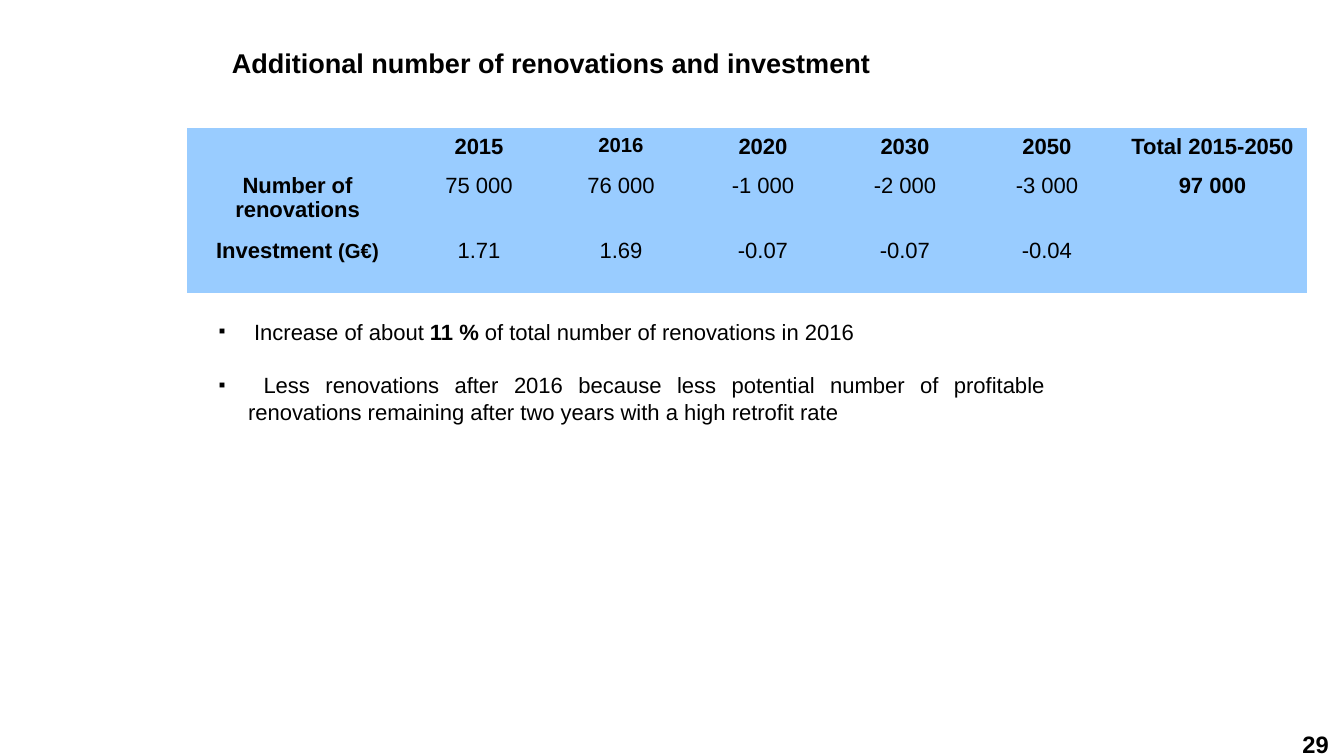
from dataclasses import dataclass

from lxml import etree
from pptx import Presentation
from pptx import util as u
from pptx.dml import color
from pptx.enum import text
from pptx.oxml import ns

PX = 914400 / 122


@dataclass(frozen=True)
class Theme:
    """Colours, font and type sizes of the slide."""
    font: str = "Arial"
    ink: str = "000000"
    cell: str = "99CCFF"
    title: int = 16
    number: int = 14
    body: int = 13
    small: int = 12


THEME = Theme()
PLAIN_TABLE = "{2D5ABB26-0587-4C30-8999-92F81FD0307C}"
COLUMNS = [221] + [142] * 5 + [189]
ROWS = [39, 65, 61]
CELLS = [
    ["", "2015", "2016", "2020", "2030", "2050", "Total 2015-2050"],
    ["Number of renovations", "75 000", "76 000", "-1 000", "-2 000", "-3 000", "97 000"],
    ["Investment (G€)", "1.71", "1.69", "-0.07", "-0.07", "-0.04", ""],
]
BULLETS = [
    [(" Increase of about", False), (" 11\u00a0% ", True),
     ("of total number of renovations in 2016", False)],
    [(" Less renovations after 2016 because less potential number of profitable "
      "renovations remaining after two years with a high retrofit rate", False)],
]


def px(length):
    """Turn whole pixels into EMU."""
    return u.Emu(round(length * PX))


def place(box, left, top, width, height):
    """Move and size a shape."""
    box.left, box.top, box.width, box.height = map(px, (left, top, width, height))


def set_frame(frame, margin_x, margin_y, anchor):
    """Set margins, wrapping and anchor of a text frame."""
    frame.word_wrap = True
    frame.auto_size = text.MSO_AUTO_SIZE.NONE
    frame.vertical_anchor = anchor
    frame.margin_left = frame.margin_right = px(margin_x)
    frame.margin_top = frame.margin_bottom = px(margin_y)


def add_span(para, words, size, bold=False):
    """Add one formatted run."""
    span = para.add_run()
    span.text = words
    span.font.name = THEME.font
    span.font.size = u.Pt(size)
    span.font.bold = bold
    span.font.color.rgb = color.RGBColor.from_string(THEME.ink)


def set_indent(para, margin, first):
    """Set left margin and first-line indent of a paragraph."""
    properties = para._p.get_or_add_pPr()
    properties.set("marL", str(px(margin)))
    properties.set("indent", str(px(first)))
    return properties


def add_bullet(para):
    """Give a paragraph a small square bullet."""
    properties = set_indent(para, 29, -29)
    tint = etree.SubElement(properties, ns.qn("a:buClr"))
    etree.SubElement(tint, ns.qn("a:srgbClr"), val=THEME.ink)
    etree.SubElement(properties, ns.qn("a:buSzPct"), val="45000")
    etree.SubElement(properties, ns.qn("a:buFont"), typeface=THEME.font)
    etree.SubElement(properties, ns.qn("a:buChar"), char="■")


def add_title(page):
    """Fill the title placeholder."""
    box = page.shapes.title
    place(box, 110, 39, 1166, 48)
    set_frame(box.text_frame, 0, 0, text.MSO_ANCHOR.MIDDLE)
    para = box.text_frame.paragraphs[0]
    para.alignment = text.PP_ALIGN.LEFT
    set_indent(para, 122, 0)
    add_span(para, "Additional number of renovations and investment", THEME.title, True)


def fill_cell(cell, words, bold):
    """Colour a table cell and write its text, with the unit set smaller."""
    cell.fill.solid()
    cell.fill.fore_color.rgb = color.RGBColor.from_string(THEME.cell)
    para = cell.text_frame.paragraphs[0]
    para.alignment = text.PP_ALIGN.CENTER
    para.space_after = u.Pt(8)
    label, bracket, unit = words.partition("(")
    if label:
        add_span(para, label, THEME.small if label == "2016" else THEME.body, bold)
    else:
        end = etree.SubElement(para._p, ns.qn("a:endParaRPr"))
        end.set("sz", str(THEME.body * 100))
    if unit:
        add_span(para, bracket + unit, THEME.small, bold)


def add_figures(page):
    """Add the table of renovations and investment."""
    frame = page.shapes.add_table(len(ROWS), len(COLUMNS), px(187), px(128),
                                  px(sum(COLUMNS)), px(sum(ROWS)))
    table = frame.table
    table.first_row = table.horz_banding = False
    table._tbl.tblPr.find(ns.qn("a:tableStyleId")).text = PLAIN_TABLE
    for column, width in zip(table.columns, COLUMNS):
        column.width = px(width)
    for r, (height, row) in enumerate(zip(ROWS, CELLS)):
        table.rows[r].height = px(height)
        for c, words in enumerate(row):
            fill_cell(table.cell(r, c), words, r == 0 or c in (0, len(row) - 1))


def add_findings(page):
    """Fill the body placeholder with the bullet list."""
    box = page.placeholders[1]
    place(box, 207, 312, 849, 233)
    frame = box.text_frame
    set_frame(frame, 12, 6, text.MSO_ANCHOR.TOP)
    for index, spans in enumerate(BULLETS):
        para = frame.add_paragraph() if index else frame.paragraphs[0]
        para.alignment = text.PP_ALIGN.JUSTIFY
        para.line_spacing = 1.0
        para.space_before = u.Pt(16 if index else 0)
        para.space_after = u.Pt(0)
        add_bullet(para)
        for words, bold in spans:
            add_span(para, words, THEME.body, bold)


def add_page_number(page):
    """Add the page number in the bottom right corner."""
    box = page.shapes.add_textbox(px(1207), px(730), px(122), px(27))
    set_frame(box.text_frame, 0, 0, text.MSO_ANCHOR.TOP)
    para = box.text_frame.paragraphs[0]
    para.alignment = text.PP_ALIGN.RIGHT
    add_span(para, "29", THEME.number, True)


def main():
    """Build the slide and save the deck."""
    deck = Presentation()
    deck.slide_width, deck.slide_height = px(1344), px(756)
    page = deck.slides.add_slide(deck.slide_layouts[1])
    add_page_number(page)
    add_title(page)
    add_figures(page)
    add_findings(page)
    deck.save("out.pptx")


if __name__ == "__main__":
    main()
